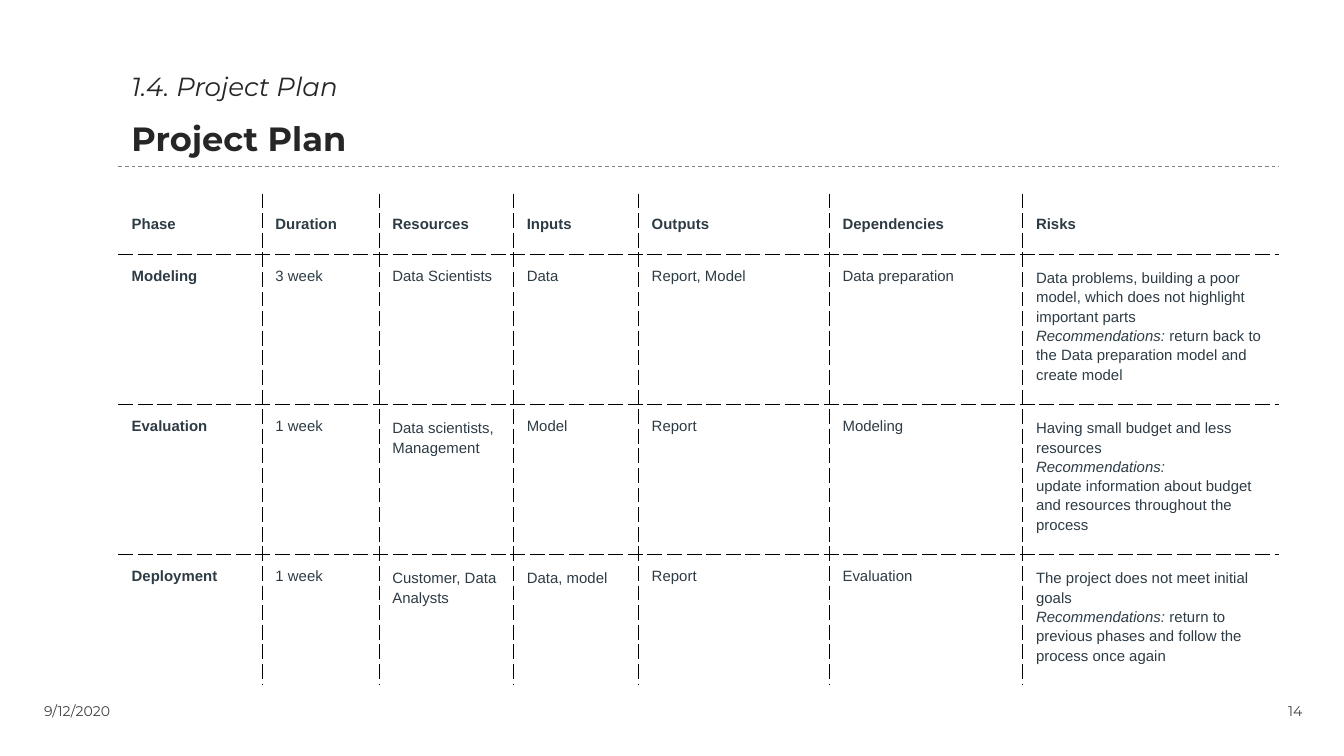
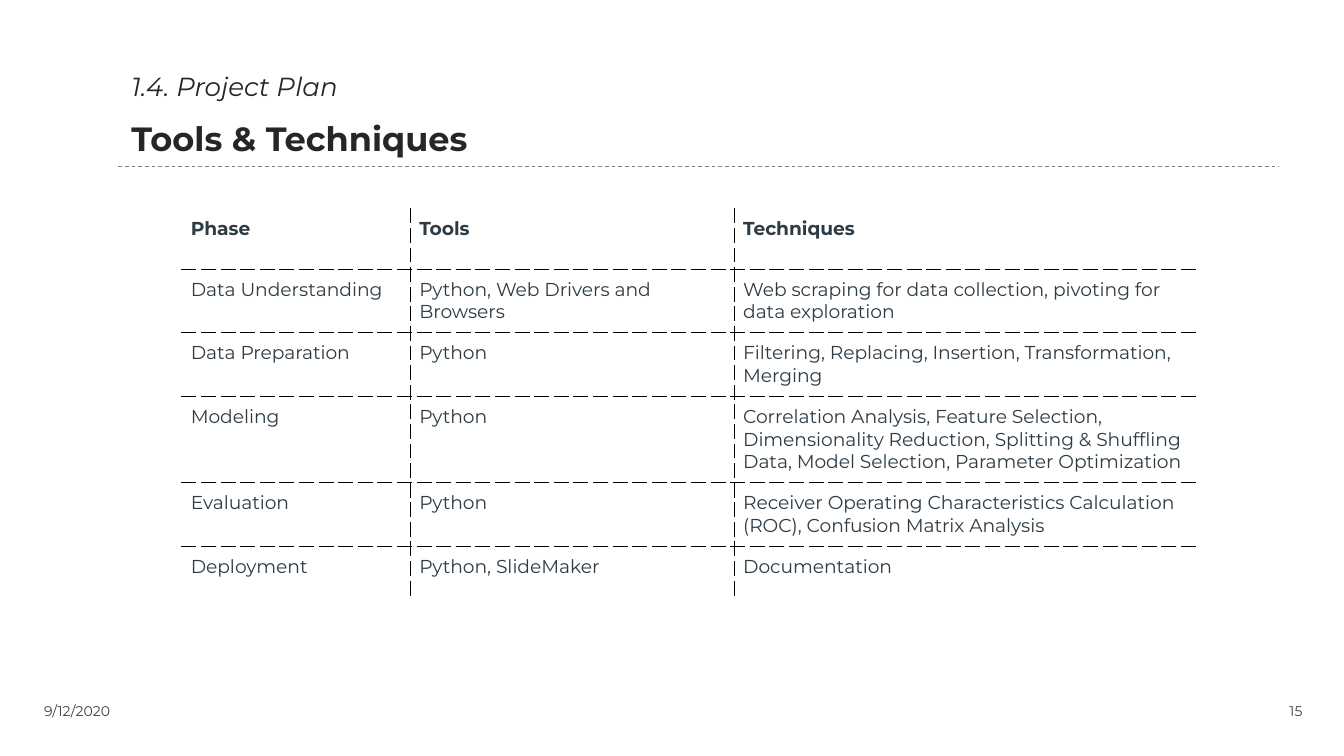
from dataclasses import dataclass

from lxml.etree import SubElement
from pptx import Presentation
from pptx.dml.color import RGBColor as Color
from pptx.enum.dml import MSO_LINE as Dash
from pptx.enum.shapes import MSO_CONNECTOR as Link
from pptx.enum.text import MSO_ANCHOR as Anchor, PP_ALIGN as Align
from pptx.oxml import parse_xml
from pptx.oxml.ns import nsdecls, qn
from pptx.util import Inches, Pt


@dataclass(frozen=True)
class Theme:
    head: Color = Color.from_string("262626")
    foot: Color = Color.from_string("404040")
    rule: Color = Color.from_string("808080")
    cell: Color = Color.from_string("2D3B45")
    edge: str = "000000"
    main: str = "Montserrat"
    plain: str = "Arial"
    top: float = 14
    title: float = 18
    small: float = 7.5
    dense: float = 8
    body: float = 10


theme = Theme()
LEAD = "Recommendations:"

plan = [
    ["Phase", "Duration", "Resources", "Inputs", "Outputs", "Dependencies", "Risks"],
    ["Modeling", "3 week", "Data Scientists", "Data", "Report, Model",
     "Data preparation",
     "Data problems, building a poor model, which does not highlight important parts\n"
     "Recommendations: return back to the Data preparation model and create model"],
    ["Evaluation", "1 week", "Data scientists, Management", "Model", "Report",
     "Modeling",
     "Having small budget and less resources\nRecommendations:\n"
     "update information about budget and resources throughout the process"],
    ["Deployment", "1 week", "Customer, Data Analysts", "Data, model", "Report",
     "Evaluation",
     "The project does not meet initial goals\n"
     "Recommendations: return to previous phases and follow the process once again"],
]
tools = [
    ["Phase", "Tools", "Techniques"],
    ["Data Understanding", "Python, Web Drivers and Browsers",
     "Web scraping for data collection, pivoting for data exploration"],
    ["Data Preparation", "Python",
     "Filtering, Replacing, Insertion, Transformation, Merging"],
    ["Modeling", "Python",
     "Correlation Analysis, Feature Selection, Dimensionality Reduction, "
     "Splitting & Shuffling Data, Model Selection, Parameter Optimization"],
    ["Evaluation", "Python",
     "Receiver Operating Characteristics Calculation (ROC), Confusion Matrix Analysis"],
    ["Deployment", "Python, SlideMaker", "Documentation"],
]

pages = [
    dict(title="Project Plan", data=plan, left=0.88, top=1.44,
         cols=[1.07, 0.87, 1, 0.93, 1.42, 1.44, 1.91],
         rows=[0.45, 1.06, 1.06, 0.9], pad=0.1, face=theme.plain,
         size=theme.dense, anchor=Anchor.MIDDLE, keys=True,
         loose={(1, 6), (2, 2), (2, 6), (3, 2), (3, 3), (3, 6)}),
    dict(title="Tools & Techniques", data=tools, left=1.35, top=1.55,
         cols=[1.7, 2.41, 3.45], rows=[0.45, 0.47, 0.47, 0.64, 0.47, 0.4],
         pad=0.07, face=theme.main, size=theme.body, anchor=Anchor.TOP,
         keys=False, loose=set()),
]


def style(font, face, size, color, bold=False):
    font.name, font.size, font.bold = face, Pt(size), bold
    font.color.rgb = color


def edge(cell, sides):
    """Draw dashed lines on the given sides (of L, R, T, B) and clear the others."""
    props = cell._tc.get_or_add_tcPr()
    for spot, side in enumerate("LRTB"):
        line = parse_xml(f'<a:ln{side} {nsdecls("a")} w="3175"/>')
        if side in sides:
            fill = SubElement(line, qn("a:solidFill"))
            SubElement(fill, qn("a:srgbClr"), val=theme.edge)
            SubElement(line, qn("a:prstDash"), val="dash")
        else:
            SubElement(line, qn("a:noFill"))
        props.insert(spot, line)


deck = Presentation()
deck.slide_width = Inches(10)
deck.slide_height = deck.slide_width * 9 // 16

for num, page in enumerate(pages, 14):
    slide = deck.slides.add_slide(deck.slide_layouts[6])
    shapes = slide.shapes

    # Title and the rule below it
    box = shapes.add_textbox(Inches(0.88), Inches(0.38), Inches(8.65), Inches(0.86))
    box.text_frame.word_wrap = True
    para = box.text_frame.paragraphs[0]
    para.line_spacing = 1.4
    part = para.add_run()
    part.text = "1.4. Project Plan"
    style(part.font, theme.main, theme.top, theme.head)
    part.font.italic = True
    para.add_line_break()
    part = para.add_run()
    part.text = page["title"]
    style(part.font, theme.main, theme.title, theme.head, True)

    rule = shapes.add_connector(Link.STRAIGHT, Inches(0.88), Inches(1.24),
                                Inches(9.52), Inches(1.24))
    rule.line.color.rgb = theme.rule
    rule.line.width = Pt(0.5)
    rule.line.dash_style = Dash.DASH
    SubElement(rule._element.spPr, qn("a:effectLst"))

    # Date and page number
    for text, left, width, align in [("9/12/2020", 0.23, 2.25, Align.LEFT),
                                     (str(num), 8.59, 1.2, Align.RIGHT)]:
        box = shapes.add_textbox(Inches(left), Inches(5.17), Inches(width), Inches(0.23))
        frame = box.text_frame
        frame.word_wrap = True
        frame.vertical_anchor = Anchor.BOTTOM
        para = frame.paragraphs[0]
        para.text, para.alignment = text, align
        style(para.font, theme.main, theme.small, theme.foot)

    # Table with dashed inner lines
    data, cols, rows = page["data"], page["cols"], page["rows"]
    table = shapes.add_table(len(rows), len(cols), Inches(page["left"]),
                             Inches(page["top"]), Inches(sum(cols)),
                             Inches(sum(rows))).table
    table.first_row = table.horz_banding = False
    for col, width in zip(table.columns, cols):
        col.width = Inches(width)
    for row, height in zip(table.rows, rows):
        row.height = Inches(height)

    for r, line in enumerate(data):
        for c, text in enumerate(line):
            cell = table.cell(r, c)
            cell.fill.background()
            cell.margin_left = cell.margin_right = Inches(page["pad"])
            cell.margin_top = cell.margin_bottom = Inches(page["pad"])
            cell.vertical_anchor = page["anchor"] if r == 0 else Anchor.TOP
            edge(cell, ("L" if c else "") + ("R" if c < len(cols) - 1 else "")
                 + ("T" if r else "") + ("B" if r < len(rows) - 1 else ""))
            cell.text = text
            bold = r == 0 or (c == 0 and page["keys"])
            loose = (r, c) in page["loose"]
            for para in cell.text_frame.paragraphs:
                if para.text.startswith(LEAD):
                    lead = para.runs[0]
                    rest = lead.text.removeprefix(LEAD)
                    lead.text = LEAD
                    lead.font.italic = True
                    if rest:
                        para.add_run().text = rest
                if loose:
                    para.line_spacing = 1.15
                # Loose rows take their height from the run sizes
                for item in para.runs if loose else [para]:
                    style(item.font, page["face"], page["size"], theme.cell, bold)

deck.save("out.pptx")
